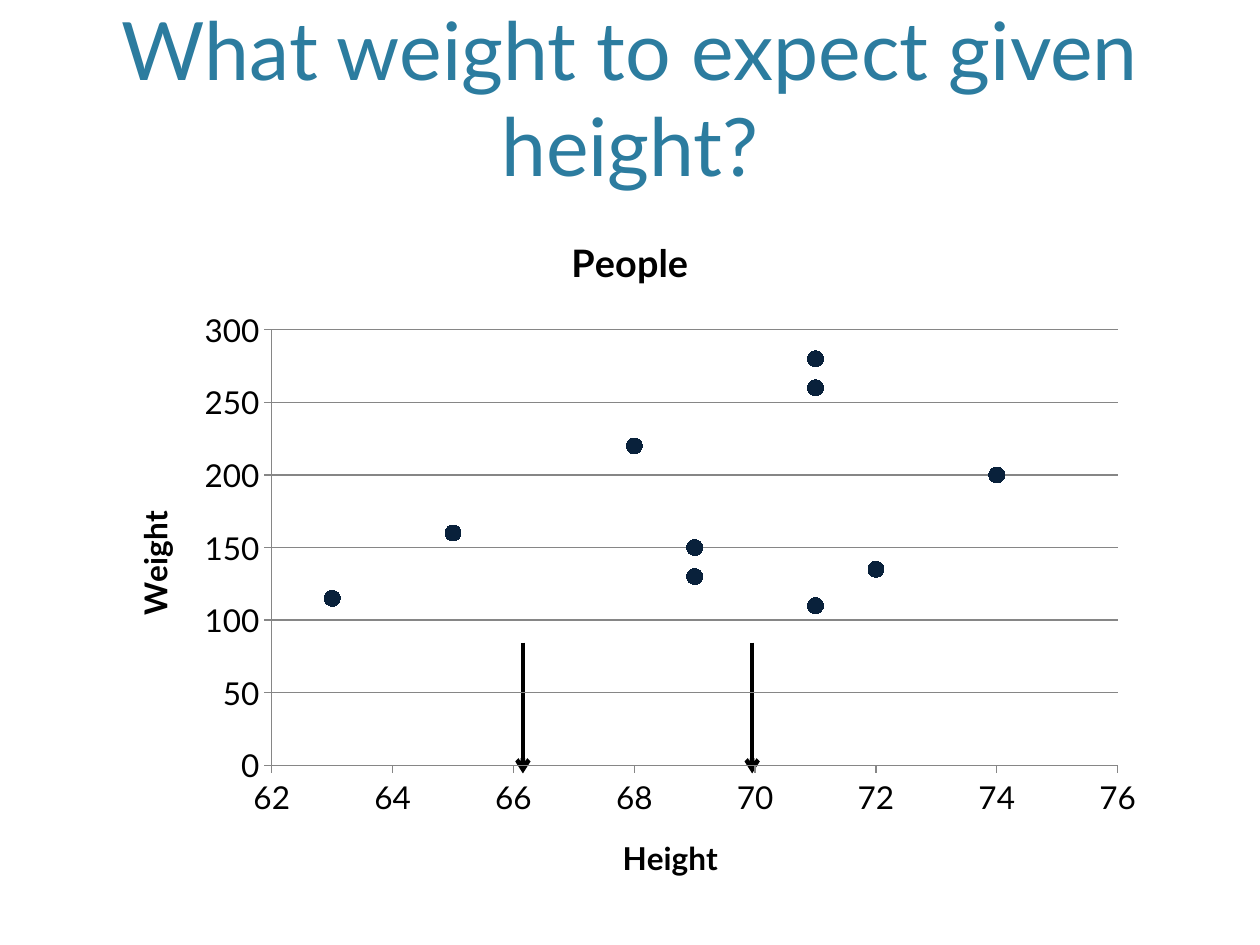
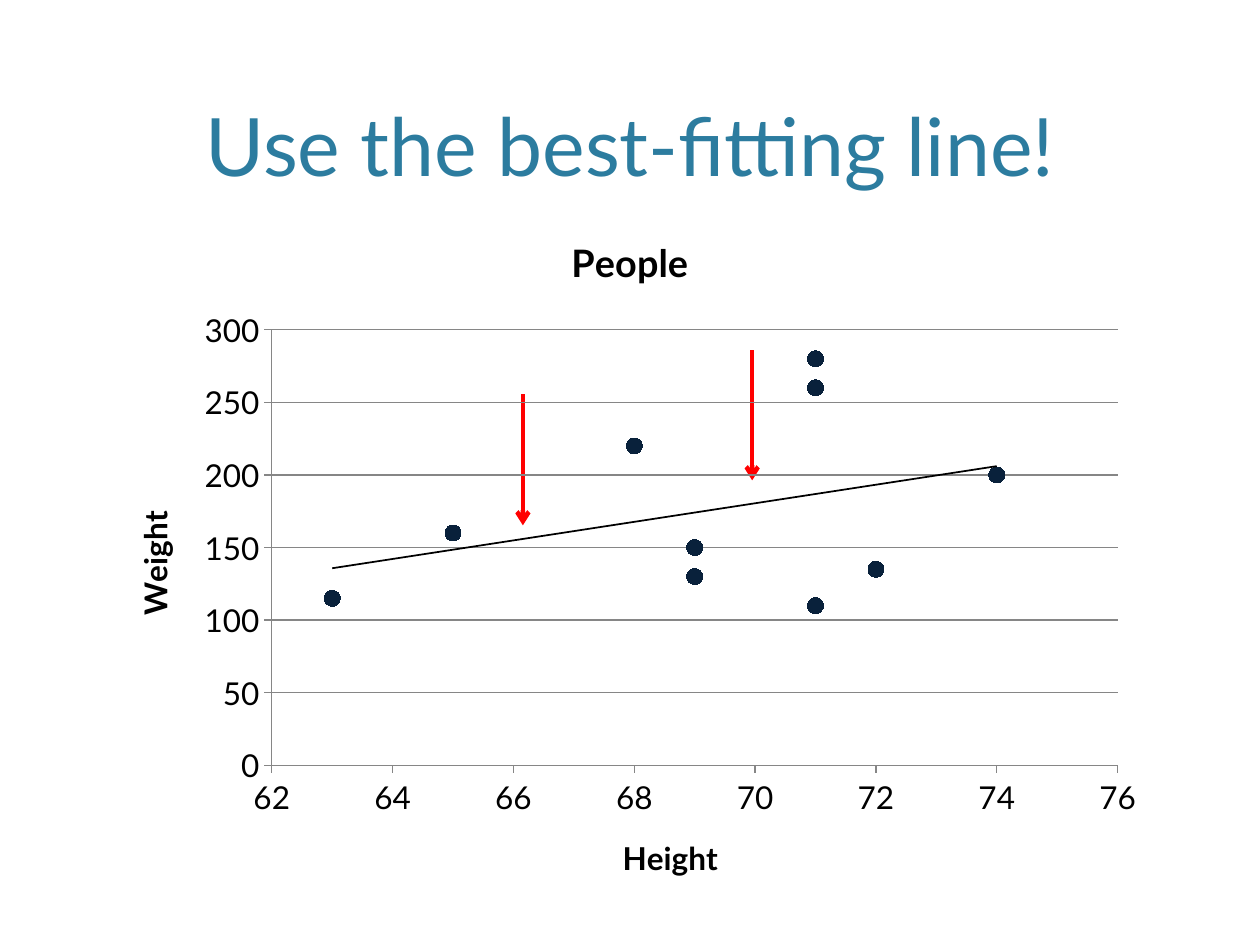
from lxml.etree import SubElement
from pptx import Presentation
from pptx.chart.data import XyChartData
from pptx.dml.color import RGBColor
from pptx.enum.chart import XL_CHART_TYPE, XL_MARKER_STYLE, XL_TICK_MARK
from pptx.enum.shapes import MSO_CONNECTOR
from pptx.enum.text import MSO_ANCHOR, PP_ALIGN
from pptx.oxml import parse_xml
from pptx.oxml.ns import nsdecls, qn
from pptx.util import Pt

FONT = "Lato"
BLACK, RED = "000000", "FF0000"
TITLE, DOT, GRID = "2C7C9F", "09213B", "868686"
ARROW_X = (298.8, 429.84)
PEOPLE = [(74, 200), (68, 220), (71, 260), (63, 115), (69, 130),
          (65, 160), (69, 150), (71, 110), (72, 135), (71, 280)]

# title, arrow colour, (top, bottom) of each arrow, best-fitting line
SLIDES = [
    ("What weight to expect given height?", BLACK,
     [(367.2, 442), (367.2, 442)], False),
    ("Use the best-fitting line!", RED,
     [(225.4, 300.2), (200.2, 274.5)], True),
]


def rgb(color):
    return RGBColor.from_string(color)


def write(tf, text, size, color, bold=False):
    p = tf.paragraphs[0]
    p.alignment = PP_ALIGN.CENTER
    r = p.add_run()
    r.text = text
    r.font.name, r.font.size, r.font.bold = FONT, Pt(size), bold
    r.font.color.rgb = rgb(color)


prs = Presentation()
prs.slide_width, prs.slide_height = Pt(720), Pt(540)

for title, arrow_color, arrow_spans, has_trend in SLIDES:
    s = prs.slides.add_slide(prs.slide_layouts[6])

    # Title
    tf = s.shapes.add_textbox(Pt(43.2), Pt(8.64), Pt(633.6), Pt(105.12)).text_frame
    tf.word_wrap = True
    tf.vertical_anchor = MSO_ANCHOR.BOTTOM
    write(tf, title, 46, TITLE)

    # Arrows at the two heights asked about, behind the chart
    for x, (top, bottom) in zip(ARROW_X, arrow_spans):
        arrow = s.shapes.add_connector(MSO_CONNECTOR.STRAIGHT, Pt(x), Pt(top), Pt(x), Pt(bottom))
        arrow.line.color.rgb = rgb(arrow_color)
        arrow.line.width = Pt(2.5)
        SubElement(arrow.line._get_or_add_ln(), qn("a:tailEnd"), type="arrow")
        SubElement(arrow._element.spPr, qn("a:effectLst"))

    # Scatter chart
    data = XyChartData()
    points = data.add_series("People")
    for height, weight in PEOPLE:
        points.add_data_point(height, weight)
    chart = s.shapes.add_chart(XL_CHART_TYPE.XY_SCATTER, Pt(59.04), Pt(118.8),
                               Pt(601.92), Pt(400.32), data).chart
    chart.has_legend = False
    chart.font.name, chart.font.size = FONT, Pt(18)
    chart.font.color.rgb = rgb(BLACK)
    chart.plots[0].vary_by_categories = False
    chart.has_title = True
    write(chart.chart_title.text_frame, "People", 21.6, BLACK, True)

    # Axes
    for axis, name, low, high, step in (
        (chart.category_axis, "Height", 62, 76, 2),
        (chart.value_axis, "Weight", 0, 300, 50),
    ):
        axis.minimum_scale, axis.maximum_scale, axis.major_unit = low, high, step
        axis.major_tick_mark = XL_TICK_MARK.OUTSIDE
        axis.minor_tick_mark = XL_TICK_MARK.NONE
        axis.has_major_gridlines = name == "Weight"
        axis.format.line.color.rgb = rgb(GRID)
        axis.format.line.width = Pt(0.75)
        axis.has_title = True
        write(axis.axis_title.text_frame, name, 18, BLACK, True)
    grid = chart.value_axis.major_gridlines.format.line
    grid.color.rgb = rgb(GRID)
    grid.width = Pt(0.75)

    # Dots without a joining line
    series = chart.plots[0].series[0]
    series.format.line.fill.background()
    marker = series.marker
    marker.style, marker.size = XL_MARKER_STYLE.CIRCLE, 9
    marker.format.fill.solid()
    marker.format.fill.fore_color.rgb = rgb(DOT)
    marker.format.line.color.rgb = rgb(DOT)

    # Inner plot area as fractions of the chart
    plot_area = chart.element.find(".//" + qn("c:plotArea"))
    layout = plot_area.find(qn("c:layout"))
    if layout is None:
        layout = parse_xml(f"<c:layout {nsdecls('c')}/>")
        plot_area.insert(0, layout)
    manual = SubElement(layout, qn("c:manualLayout"))
    for tag, val in (("layoutTarget", "inner"), ("xMode", "edge"), ("yMode", "edge"),
                     ("x", "0.16"), ("y", "0.174"), ("w", "0.803"), ("h", "0.622")):
        SubElement(manual, qn("c:" + tag), val=val)

    # Best-fitting line
    if has_trend:
        trend = parse_xml(
            f'<c:trendline {nsdecls("c", "a")}><c:spPr><a:ln w="12700"><a:solidFill>'
            f'<a:srgbClr val="{BLACK}"/></a:solidFill></a:ln></c:spPr>'
            '<c:trendlineType val="linear"/><c:dispRSqr val="0"/><c:dispEq val="0"/>'
            '</c:trendline>')
        plot_area.find(".//" + qn("c:xVal")).addprevious(trend)

prs.save("out.pptx")
